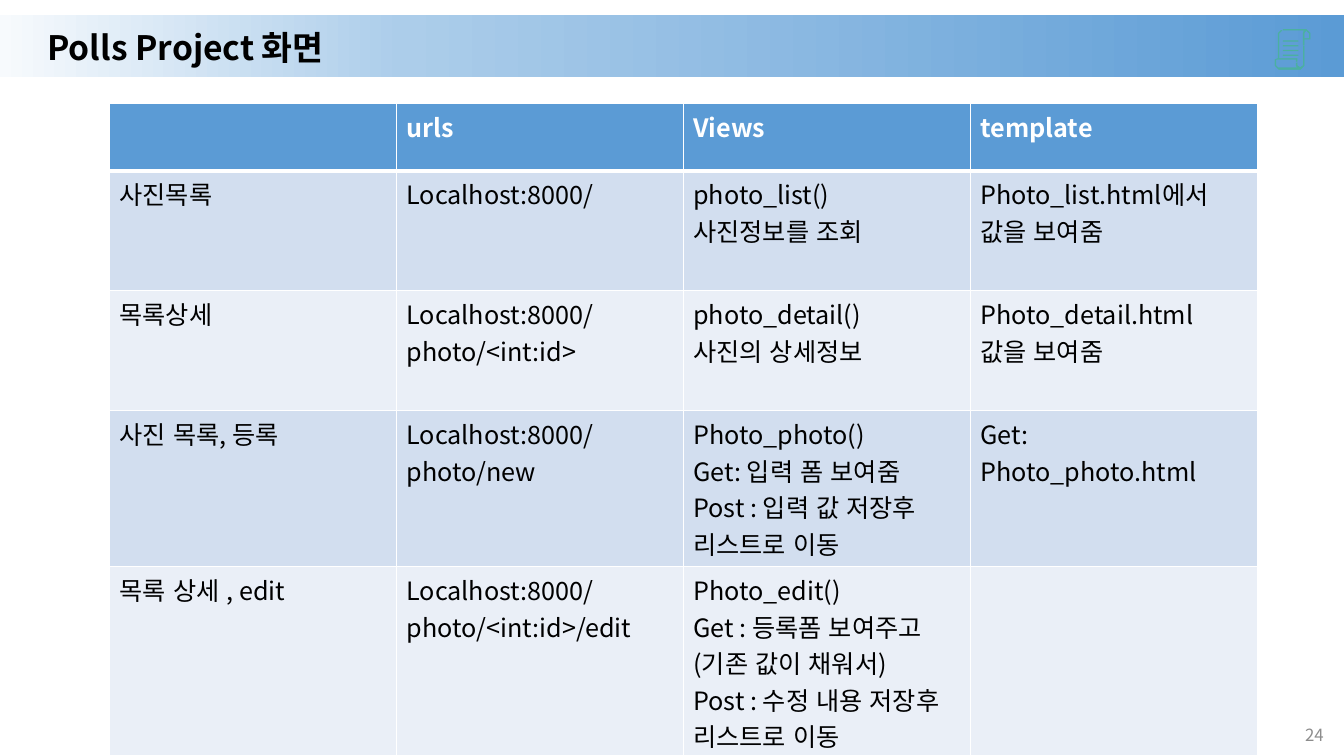
from copy import deepcopy
from dataclasses import dataclass

from lxml import etree
from pptx import Presentation
from pptx import util as u
from pptx.dml.color import RGBColor
from pptx.enum import lang, shapes, text
from pptx.oxml import ns

FONT = "Noto Sans CJK KR"
COLORS = {
    "black": "000000",
    "white": "FFFFFF",
    "blue": "5B9BD5",
    "pale_blue": "ACCDEA",
    "mist": "F7FAFD",
    "band_dark": "D2DEEF",
    "band_light": "EAEFF7",
    "icon": "4BB0A0",
    "number": "8C8C8C",
}
BAND_STOPS = [(0, "mist"), (0.3, "pale_blue"), (1, "blue")]


@dataclass(frozen=True)
class TableRow:
    height: float
    cells: tuple[str, str, str, str]


ROWS = [
    TableRow(1.7, ("", "urls", "Views", "template")),
    TableRow(3.02, ("사진목록", "Localhost:8000/", "photo_list()\n사진정보를 조회",
                    "Photo_list.html에서\n값을 보여줌")),
    TableRow(3.02, ("목록상세", "Localhost:8000/photo/<int:id>",
                    "photo_detail()\n사진의 상세정보", "Photo_detail.html\v값을 보여줌")),
    TableRow(3.93, ("사진 목록, 등록", "Localhost:8000/photo/new",
                    "Photo_photo()\nGet: 입력 폼 보여줌\nPost : 입력 값 저장후 리스트로 이동",
                    "Get: Photo_photo.html")),
    TableRow(4.78, ("목록 상세 , edit", "Localhost:8000/photo/<int:id>/edit",
                    "Photo_edit()\nGet : 등록폼 보여주고(기존 값이 채워서)\n"
                    "Post : 수정 내용 저장후 리스트로 이동", "")),
]

ICON_UNIT = u.Cm(0.0254)
SCROLL_SHEET = [[
    (1271, 30), (1268, 33), (1268, 58), (1265, 59), (1265, 65), (1269, 69),
    (1290, 69), (1294, 65), (1294, 46), (1293, 46), (1293, 65), (1290, 67),
    (1287, 65), (1287, 62), (1286, 63), (1286, 65), (1287, 67), (1268, 67),
    (1266, 65), (1266, 59), (1286, 59), (1286, 61), (1287, 61), (1287, 58),
    (1269, 58), (1269, 33), (1272, 30),
]]
SCROLL_TOP = [
    [(1296, 30), (1299, 33), (1299, 38), (1294, 38), (1294, 33)],
    [(1273, 29), (1273, 30), (1294, 30), (1293, 33), (1293, 45),
     (1294, 45), (1294, 39), (1300, 39), (1300, 33), (1296, 29)],
]


def color(name: str) -> RGBColor:
    return RGBColor.from_string(COLORS[name])


def write(frame, content: str, *, size: float, color_name: str = "black",
          bold: bool = False, align=text.PP_ALIGN.LEFT,
          line_spacing: float | None = None, space_before: float | None = None) -> None:
    frame.word_wrap = True
    for index, line in enumerate(content.split("\n")):
        paragraph = frame.add_paragraph() if index else frame.paragraphs[0]
        paragraph.text = line
        paragraph.alignment = align
        paragraph.line_spacing = line_spacing
        if space_before is not None:
            paragraph.space_before = u.Pt(space_before)
        paragraph.font.size = u.Pt(size)
        for run in paragraph.runs:
            run.font.name = FONT
            run.font.size = u.Pt(size)
            run.font.bold = bold
            run.font.color.rgb = color(color_name)
            run.font.language_id = lang.MSO_LANGUAGE_ID.KOREAN
            latin = run.font._element.find(ns.qn("a:latin"))
            east_asian = etree.Element(ns.qn("a:ea"), typeface=FONT)
            latin.addnext(east_asian)


def paint(shape, color_name: str, line_width: float = 0) -> None:
    shape.shadow.inherit = False
    shape.fill.solid()
    shape.fill.fore_color.rgb = color(color_name)
    if line_width:
        shape.line.color.rgb = color(color_name)
        shape.line.width = u.Pt(line_width)
    else:
        shape.line.fill.background()


def add_band(slide) -> None:
    band = slide.shapes.add_shape(shapes.MSO_SHAPE.RECTANGLE, 0, u.Cm(0.38),
                                  u.Cm(33.87), u.Cm(1.55))
    band.shadow.inherit = False
    band.line.fill.background()
    band.fill.gradient()
    band.fill.gradient_angle = 0
    first = band.element.spPr.find(".//" + ns.qn("a:gs"))
    first.addnext(deepcopy(first))
    for stop, (position, name) in zip(band.fill.gradient_stops, BAND_STOPS):
        stop.position = position
        stop.color.rgb = color(name)


def add_scroll_icon(slide) -> None:
    for contours in (SCROLL_SHEET, SCROLL_TOP):
        builder = slide.shapes.build_freeform(*contours[0][0], scale=ICON_UNIT)
        for index, contour in enumerate(contours):
            if index:
                builder.move_to(*contour[0])
            builder.add_line_segments(contour[1:], close=True)
        paint(builder.convert_to_shape(), "icon", line_width=0.25)
    for index in range(4):
        writing_line = slide.shapes.add_shape(
            shapes.MSO_SHAPE.ROUNDED_RECTANGLE, u.Cm(32.33),
            u.Cm(1.02 + 0.12 * index), u.Cm(0.39), u.Cm(0.03))
        paint(writing_line, "icon")


def add_borders(cell, bottom_width: float) -> None:
    properties = cell._tc.get_or_add_tcPr()
    for side, width in (("L", 1), ("R", 1), ("T", 1), ("B", bottom_width)):
        line = etree.SubElement(properties, ns.qn(f"a:ln{side}"), w=str(u.Pt(width)))
        fill = etree.SubElement(line, ns.qn("a:solidFill"))
        etree.SubElement(fill, ns.qn("a:srgbClr"), val=COLORS["white"])


def add_screen_table(slide) -> None:
    height = sum(row.height for row in ROWS)
    table = slide.shapes.add_table(len(ROWS), 4, u.Cm(2.76), u.Cm(2.6),
                                   u.Cm(28.92), u.Cm(height)).table
    for row_index, row in enumerate(ROWS):
        table.rows[row_index].height = u.Cm(row.height)
        header = row_index == 0
        banding = "band_dark" if row_index % 2 else "band_light"
        for column_index, content in enumerate(row.cells):
            cell = table.cell(row_index, column_index)
            add_borders(cell, 3 if header else 1)
            cell.fill.solid()
            cell.fill.fore_color.rgb = color("blue" if header else banding)
            write(cell.text_frame, content, size=18, bold=header,
                  color_name="white" if header else "black")


def place_title(slide) -> None:
    title = slide.shapes.title
    title.left, title.top = u.Cm(0.94), u.Cm(0.71)
    title.width, title.height = u.Cm(31.12), u.Cm(1.09)
    title.text_frame.auto_size = text.MSO_AUTO_SIZE.NONE
    title.text_frame.vertical_anchor = text.MSO_ANCHOR.MIDDLE
    write(title.text_frame, "Polls Project 화면", size=24, bold=True,
          line_spacing=0.9, space_before=10)
    title.element.getparent().append(title.element)


def add_page_number(slide) -> None:
    box = slide.shapes.add_textbox(u.Cm(32.49), u.Cm(18.01), u.Cm(1.12), u.Cm(1.02))
    box.text_frame.vertical_anchor = text.MSO_ANCHOR.MIDDLE
    write(box.text_frame, "24", size=12, color_name="number", align=text.PP_ALIGN.RIGHT)


def main() -> None:
    presentation = Presentation()
    presentation.slide_width, presentation.slide_height = u.Cm(33.87), u.Cm(19.05)
    slide = presentation.slides.add_slide(presentation.slide_layouts[5])
    add_band(slide)
    add_scroll_icon(slide)
    place_title(slide)
    add_page_number(slide)
    add_screen_table(slide)
    presentation.save("out.pptx")


if __name__ == "__main__":
    main()
